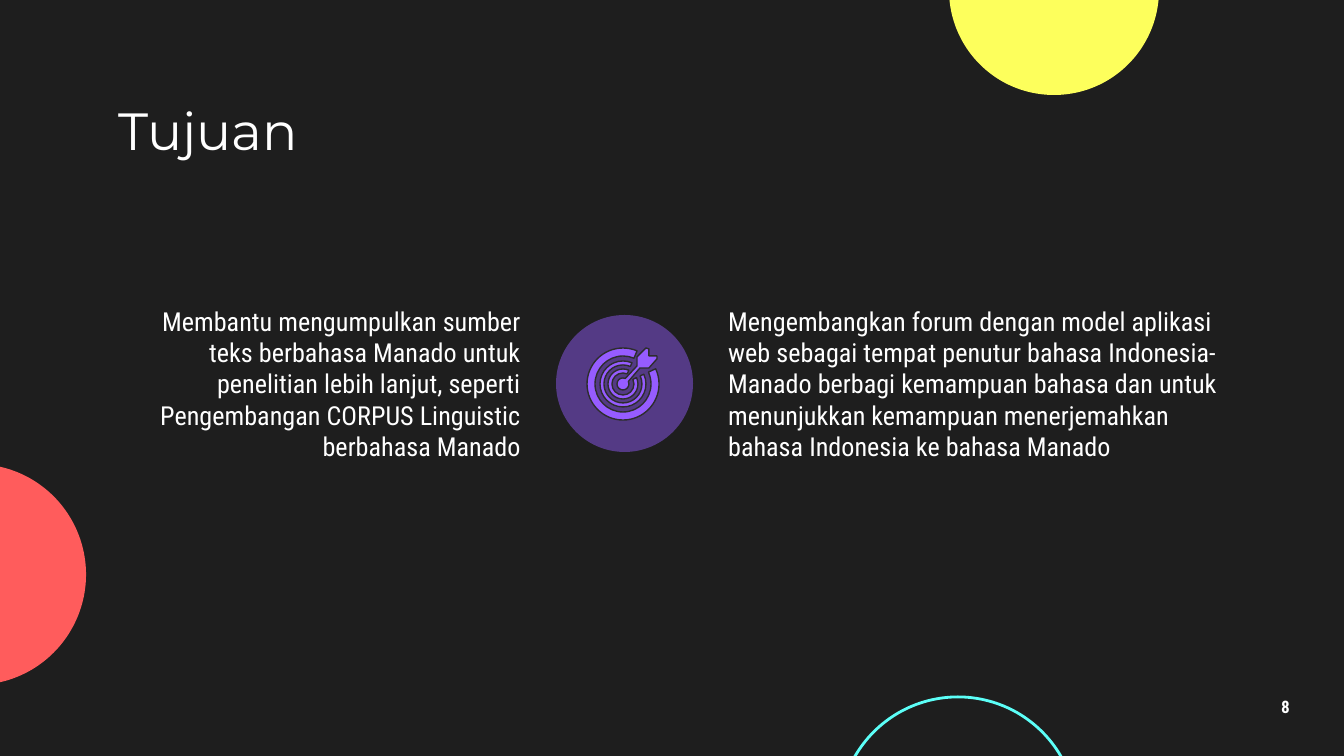
from math import cos, radians, sin, tan

from lxml.etree import SubElement
from pptx import Presentation
from pptx.dml.color import RGBColor
from pptx.enum.shapes import MSO_SHAPE
from pptx.enum.text import MSO_ANCHOR, PP_ALIGN
from pptx.oxml.ns import qn
from pptx.util import Inches, Pt

EMU_PER_PX = Inches(1) / 134.4

THEME = {
    "background": RGBColor.from_string("1E1E1E"),
    "text": RGBColor.from_string("FFFFFF"),
    "yellow": RGBColor.from_string("FDFF5C"),
    "red": RGBColor.from_string("FF5C5C"),
    "cyan": RGBColor.from_string("5CFFF8"),
    "badge": RGBColor.from_string("955DFF"),
    "target": RGBColor.from_string("965CFF"),
    "target_edge": RGBColor.from_string("2D2D2D"),
    "heading": {"name": "Montserrat", "size": Pt(28)},
    "body": {"name": "Roboto Condensed", "size": Pt(14)},
    "number": {"name": "Roboto Condensed", "size": Pt(9.2), "bold": True},
}


def px(*lengths):
    return [round(length * EMU_PER_PX) for length in lengths]


def arc(radius, angles):
    """Bezier points in px round the target's centre, one curve per pair of angles."""
    turns = [radians(angle) for angle in angles]
    polar = [(radius, turns[0])]
    for start, end in zip(turns, turns[1:]):
        handle = 4 / 3 * tan((end - start) / 4)
        for angle, lean in ((start, handle), (end, -handle), (end, 0)):
            polar.append((radius, angle, lean))
    points = []
    for r, angle, *lean in polar:
        bend = lean[0] if lean else 0
        points.append((TARGET_X + r * (cos(angle) - bend * sin(angle)),
                       TARGET_Y - r * (sin(angle) + bend * cos(angle))))
    return points


deck = Presentation()
deck.slide_width, deck.slide_height = px(1344, 756)
slide = deck.slides.add_slide(deck.slide_layouts[6])
slide.background.fill.solid()
slide.background.fill.fore_color.rgb = THEME["background"]

# Circles: left, top, diameter, fill, outline
circles = [
    (949, -115, 210, "yellow", None),
    (-135, 464, 221, "red", None),
    (839, 697, 238, None, "cyan"),
    (556, 315, 137, "badge", None),
]
for left, top, diameter, fill, outline in circles:
    circle = slide.shapes.add_shape(MSO_SHAPE.OVAL, *px(left, top, diameter, diameter))
    circle.shadow.inherit = False
    if fill:
        circle.fill.solid()
        circle.fill.fore_color.rgb = THEME[fill]
    else:
        circle.fill.background()
    if outline:
        circle.line.color.rgb = THEME[outline]
        circle.line.width = Pt(1.5)
    else:
        circle.line.fill.background()
    if fill == "badge":
        badge_color = circle._element.spPr.find(qn("a:solidFill"))[0]
        SubElement(badge_color, qn("a:alpha")).set("val", "46000")

# Texts: box, wording, font, paragraph format
texts = [
    ((105, 95, 1134, 69), "Tujuan", "heading", {"alignment": PP_ALIGN.LEFT}),
    ((1245, 685, 81, 46), "8", "number",
     {"alignment": PP_ALIGN.CENTER, "line_spacing": 0.9}),
    ((715, 282, 518, 203),
     "Mengembangkan forum dengan model aplikasi web sebagai tempat penutur bahasa "
     "Indonesia-Manado berbagi kemampuan bahasa dan untuk menunjukkan kemampuan "
     "menerjemahkan bahasa Indonesia ke bahasa Manado",
     "body", {"alignment": PP_ALIGN.LEFT}),
    ((122, 293, 412, 181),
     "Membantu mengumpulkan sumber teks berbahasa Manado untuk penelitian lebih "
     "lanjut, seperti Pengembangan CORPUS Linguistic berbahasa Manado",
     "body", {"alignment": PP_ALIGN.RIGHT}),
]
frame_format = {"word_wrap": True, "vertical_anchor": MSO_ANCHOR.MIDDLE}
for side in ("left", "top", "right", "bottom"):
    frame_format[f"margin_{side}"] = Inches(0.1)

for box, wording, font, paragraph_format in texts:
    frame = slide.shapes.add_textbox(*px(*box)).text_frame
    paragraph = frame.paragraphs[0]
    run = paragraph.add_run()
    run.text = wording
    run.font.color.rgb = THEME["text"]
    for part, values in ((frame, frame_format), (paragraph, paragraph_format),
                         (run.font, THEME[font])):
        for attribute, value in values.items():
            setattr(part, attribute, value)

# Target icon: three rings open towards the arrow, then the arrow with its hub
TARGET_X, TARGET_Y = 623, 384
SWEEP = [67, 90, 180, 270, 360, 385]
CURVE_POINTS = 3 * (len(SWEEP) - 1)
outer_curves = list(range(0, CURVE_POINTS, 3))
inner_curves = [start + CURVE_POINTS + 1 for start in outer_curves]

rings = [(23, 19), (15, 11), (36, 28)]
pieces = [(arc(outer, SWEEP) + arc(inner, SWEEP[::-1]), outer_curves + inner_curves)
          for outer, inner in rings]
arrow = [(640, 368), (649, 368), (657, 359), (657, 356), (649, 356),
         (649, 349), (646, 348), (637, 357), (637, 366)]
pieces.append((arc(6, SWEEP) + arrow, outer_curves))

target = slide.shapes.add_group_shape()
for outline, curve_starts in pieces:
    points = [px(*point) for point in outline]
    builder = target.shapes.build_freeform(*points[0])
    builder.add_line_segments(points[1:], close=True)
    piece = builder.convert_to_shape()
    piece.shadow.inherit = False
    piece.fill.solid()
    piece.fill.fore_color.rgb = THEME["target"]
    piece.line.color.rgb = THEME["target_edge"]
    piece.line.width = Pt(0.75)

    # Turn each run of three straight segments on an arc into one curve
    segments = list(piece._element.iter(qn("a:lnTo")))
    for start in curve_starts:
        first, *others = segments[start:start + 3]
        first.tag = qn("a:cubicBezTo")
        for segment in others:
            first.append(segment[0])
            segment.getparent().remove(segment)

deck.save("out.pptx")
